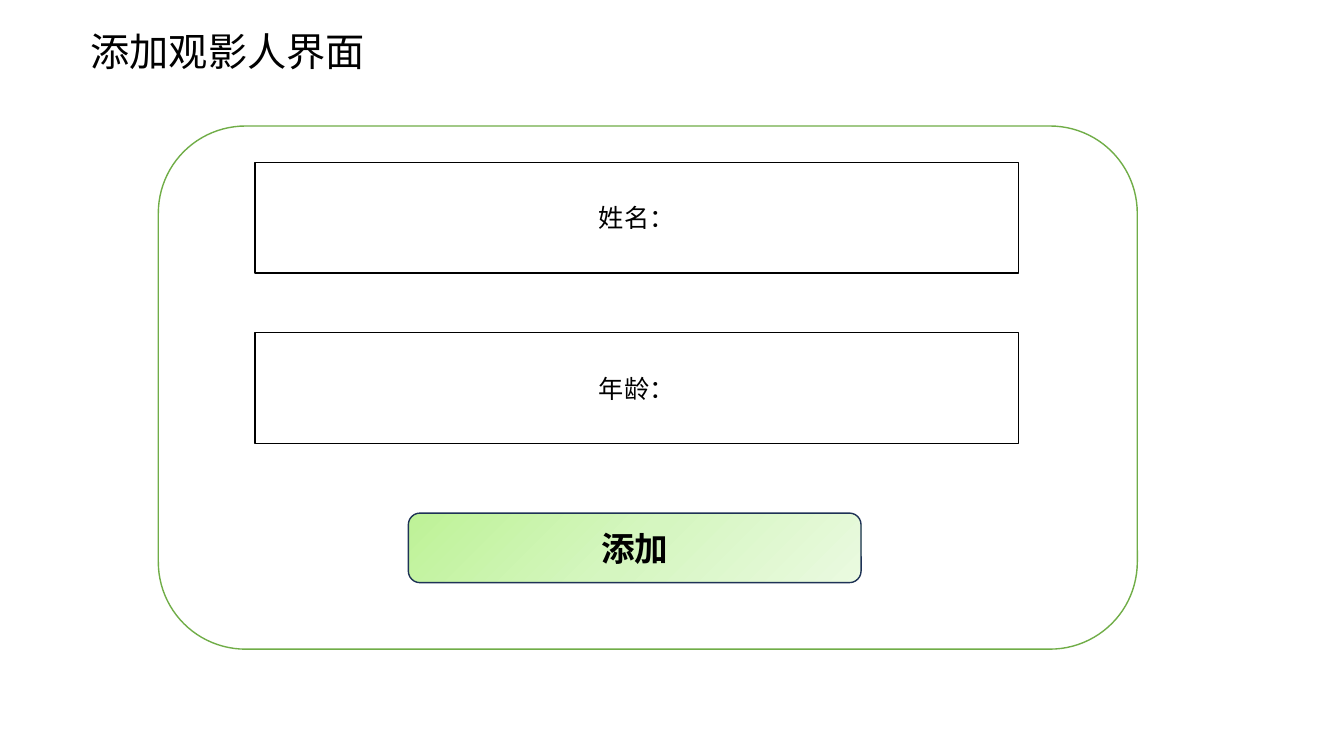
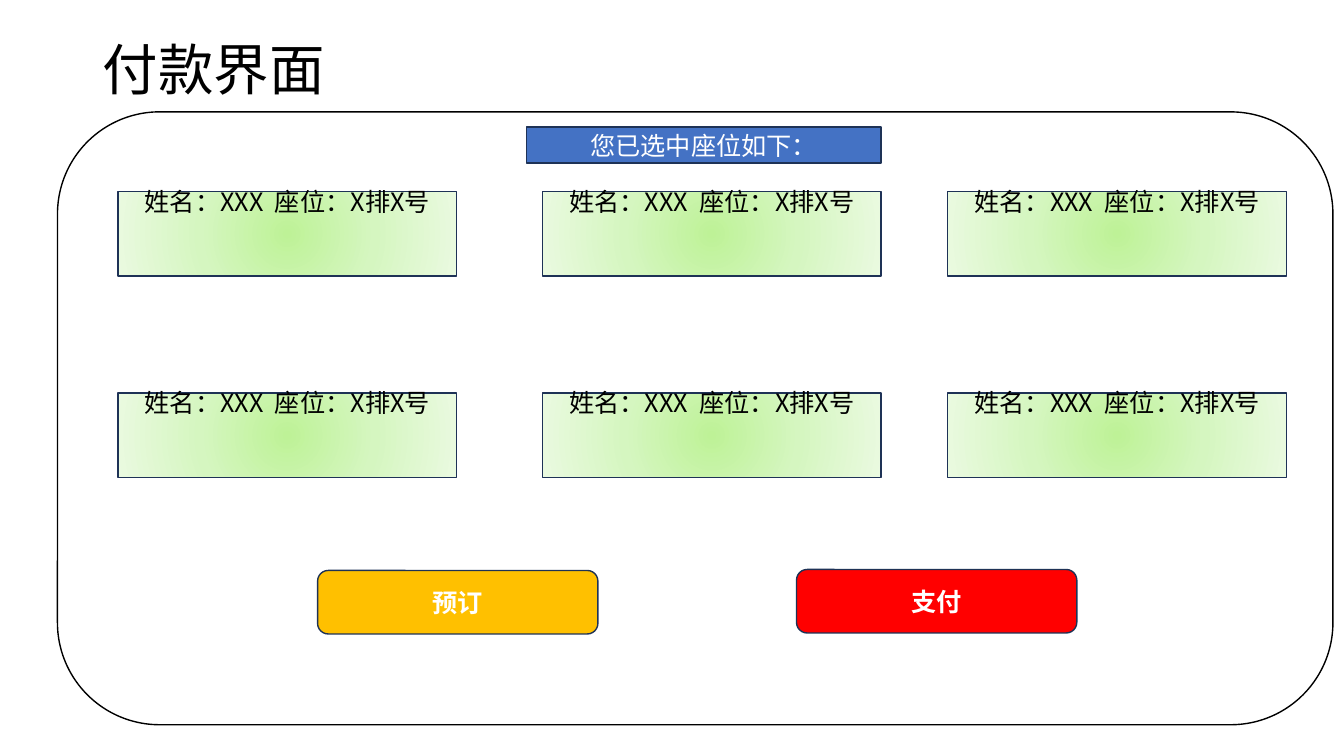
import pptx
import pptx.dml.color
import pptx.enum.shapes
import pptx.enum.text
import pptx.oxml
import pptx.oxml.ns
import pptx.util
from pptx.util import Inches, Pt

FONT = "Noto Sans CJK SC"
COLORS = {
    "black": "000000", "white": "FFFFFF", "green": "70AD47", "navy": "1E3256",
    "blue": "4472C4", "amber": "FFC000", "red": "FF0000",
}
GREEN_STOPS = [(0, "BEF297"), (50, "D5F6C0"), (100, "EAFAE0")]
GRADIENTS = {
    "diagonal": '<a:lin ang="2700000" scaled="0"/>',
    "radial": '<a:path path="circle"><a:fillToRect l="50000" t="50000" r="50000" b="50000"/></a:path>',
}

FORM_FIELDS = ["姓名：", "年龄："]
FIELD_LEFT, FIELD_TOP, FIELD_PITCH = 2.53, 1.61, 1.69
SEAT_TEXT = "姓名：XXX  座位：X排X号"
SEAT_LEFTS = [1.17, 5.38, 9.4]
SEAT_TOPS = [1.9, 3.9]
PAY_BUTTONS = [("预订", "amber", 3.15, 5.66), ("支付", "red", 7.9, 5.65)]

SHAPE = pptx.enum.shapes.MSO_SHAPE
ALIGN = pptx.enum.text.PP_ALIGN
ANCHOR = pptx.enum.text.MSO_ANCHOR


def rgb(name):
    return pptx.dml.color.RGBColor.from_string(COLORS[name])


def write(sp, text, size=18, color="black", bold=False, align=ALIGN.CENTER,
          spacing=None, **frame):
    """Put one styled paragraph in a shape; frame holds text frame settings."""
    tf = sp.text_frame
    for key, value in {"word_wrap": True, "vertical_anchor": ANCHOR.MIDDLE, **frame}.items():
        setattr(tf, key, value)
    p = tf.paragraphs[0]
    p.alignment, p.line_spacing = align, spacing
    r = p.add_run()
    r.text = text
    for key, value in {"name": FONT, "size": Pt(size), "bold": bold}.items():
        setattr(r.font, key, value)
    r.font.color.rgb = rgb(color)
    ea = pptx.oxml.parse_xml(f'<a:ea {pptx.oxml.ns.nsdecls("a")} typeface="{FONT}"/>')
    r.font._element.append(ea)


def fill_gradient(sp, kind):
    stops = "".join(f'<a:gs pos="{pos * 1000}"><a:srgbClr val="{color}"/></a:gs>'
                    for pos, color in GREEN_STOPS)
    xml = (f'<a:gradFill {pptx.oxml.ns.nsdecls("a")} rotWithShape="1">'
           f'<a:gsLst>{stops}</a:gsLst>{GRADIENTS[kind]}</a:gradFill>')
    sp.element.spPr.insert(2, pptx.oxml.parse_xml(xml))


def add_box(s, kind, at, fill="white", line="navy"):
    sp = s.shapes.add_shape(kind, *map(Inches, at))
    sp.shadow.inherit = False
    if fill in GRADIENTS:
        fill_gradient(sp, fill)
    else:
        sp.fill.solid()
        sp.fill.fore_color.rgb = rgb(fill)
    sp.line.color.rgb = rgb(line)
    sp.line.width = Pt(1)
    return sp


def add_title(s, text, at, size, spacing=None):
    sp = s.shapes.add_textbox(*map(Inches, at))
    write(sp, text, size, align=ALIGN.LEFT, spacing=spacing)


def add_viewer_slide(s):
    add_box(s, SHAPE.ROUNDED_RECTANGLE, (1.57, 1.25, 9.71, 5.19), line="green")
    add_title(s, "添加观影人界面", (0.8, 0.22, 3.06, 0.57), 28)
    for i, label in enumerate(FORM_FIELDS):
        at = (FIELD_LEFT, FIELD_TOP + i * FIELD_PITCH, 7.57, 1.1)
        write(add_box(s, SHAPE.RECTANGLE, at, line="black"), label)
    button = add_box(s, SHAPE.ROUNDED_RECTANGLE, (4.05, 5.09, 4.49, 0.69), "diagonal")
    write(button, "添加", 24, bold=True)


def add_payment_slide(s):
    add_title(s, "付款界面", (0.92, 0.4, 9.87, 0.63), 39.6, spacing=0.9)
    add_box(s, SHAPE.ROUNDED_RECTANGLE, (0.57, 1.11, 12.65, 6.08), line="black")
    for top in SEAT_TOPS:
        for left in SEAT_LEFTS:
            seat = add_box(s, SHAPE.RECTANGLE, (left, top, 3.36, 0.84), "radial")
            write(seat, SEAT_TEXT, spacing=0.82, vertical_anchor=ANCHOR.TOP, margin_top=0)
    for label, color, left, top in PAY_BUTTONS:
        button = add_box(s, SHAPE.ROUNDED_RECTANGLE, (left, top, 2.78, 0.63), color)
        write(button, label, color="white", bold=True)
    banner = add_box(s, SHAPE.RECTANGLE, (5.22, 1.26, 3.52, 0.36), "blue")
    write(banner, "您已选中座位如下：", color="white")


def main():
    prs = pptx.Presentation()
    prs.slide_width, prs.slide_height = Inches(13.33), Inches(7.5)
    for build in (add_viewer_slide, add_payment_slide):
        build(prs.slides.add_slide(prs.slide_layouts[6]))
    prs.save("out.pptx")


if __name__ == "__main__":
    main()
